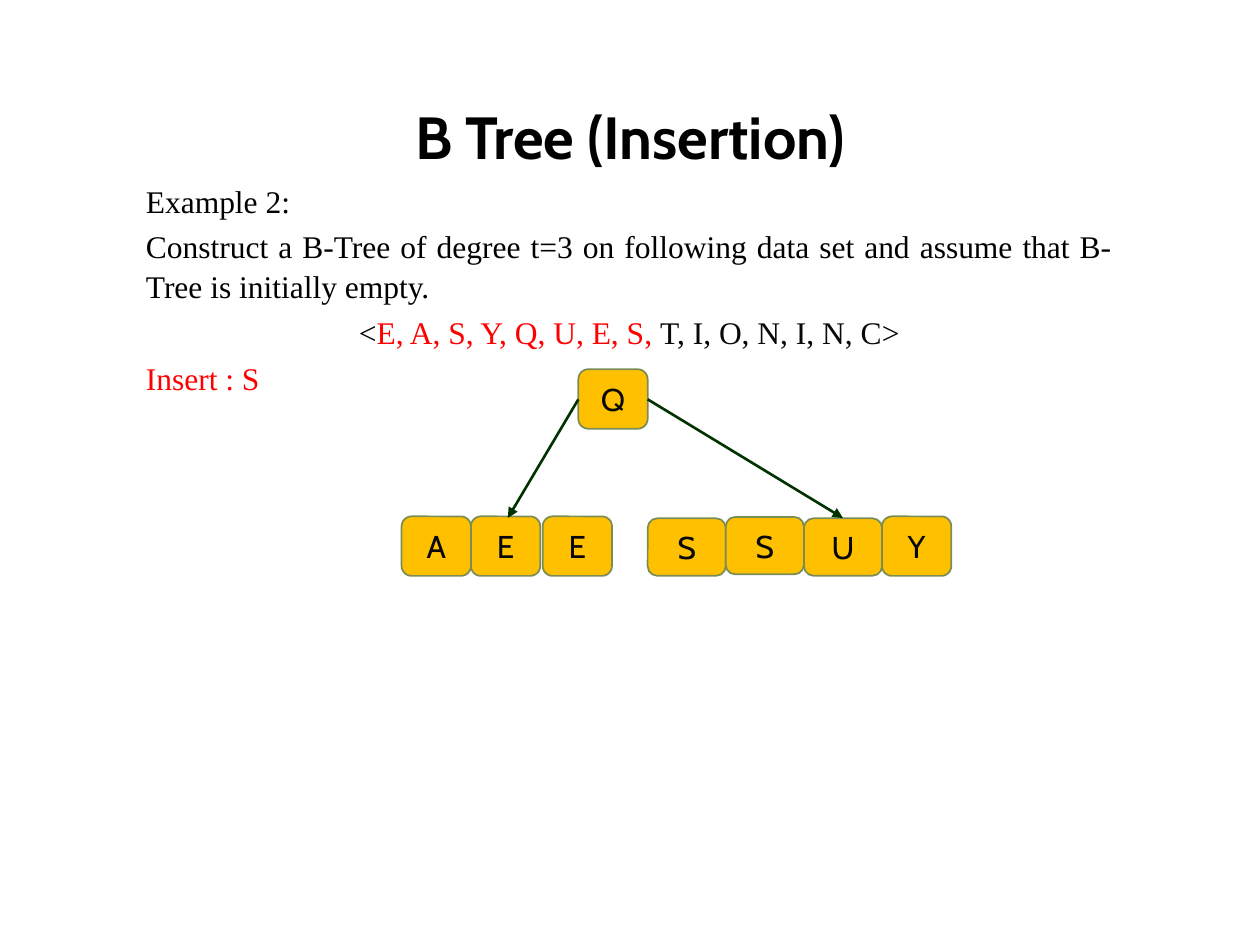
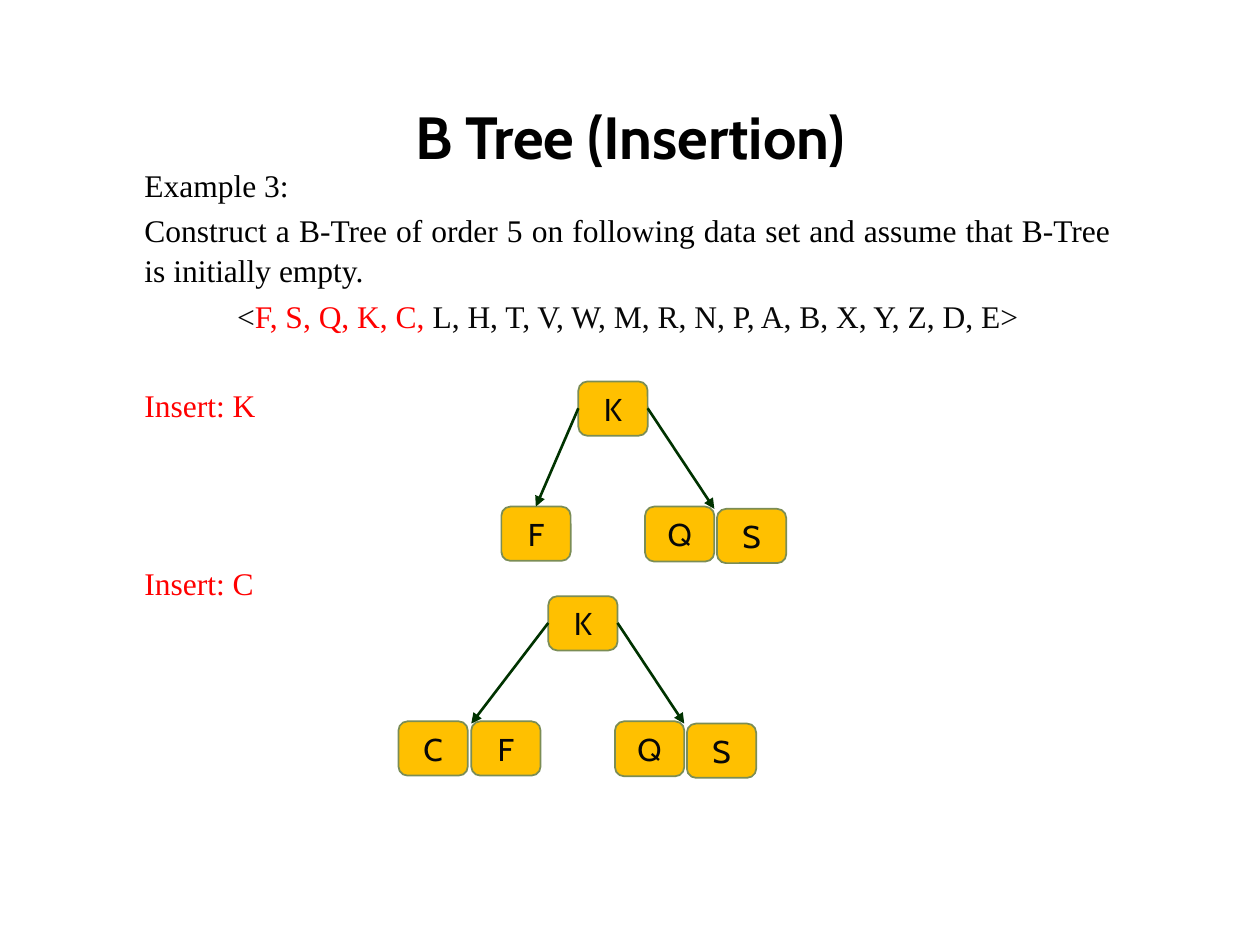
"""Build two slides that show insertion into a B-tree."""
from lxml import etree
from pptx import Presentation
from pptx.dml.color import RGBColor
from pptx.enum.shapes import MSO_CONNECTOR, MSO_SHAPE
from pptx.enum.text import MSO_ANCHOR, PP_ALIGN
from pptx.oxml.ns import qn
from pptx.util import Pt

LINE, ROUND = MSO_CONNECTOR.STRAIGHT, MSO_SHAPE.ROUNDED_RECTANGLE
MIDDLE, TOP = MSO_ANCHOR.MIDDLE, MSO_ANCHOR.TOP
LEFT, CENTER, FULL = PP_ALIGN.LEFT, PP_ALIGN.CENTER, PP_ALIGN.JUSTIFY
BLACK, INK, RED = "000000", "080808", "FF0000"
GOLD, OLIVE, GREEN = "FFC000", "7B8D55", "003300"
HEAD, BODY = "Cabin", "Times New Roman"
GAP, STEP = 3.43, 25.14
WIDE, SLIM = 44.64, 39.6


def tint(form, code):
    """Set a solid colour on a fill or a font colour."""
    form.rgb = RGBColor.from_string(code)


def style(run, face, size, code, bold=False):
    """Set the font of a run."""
    run.font.name, run.font.size, run.font.bold = face, Pt(size), bold
    tint(run.font.color, code)


low = [("K", 330.5, 218, SLIM, 31), ("F", 286.5, 289.5, SLIM, 31),
       ("Q", 368.6, 289.5, SLIM, 31.4), ("S", 409.7, 290.8, SLIM, 31)]
right = (370.1, 233.3, 408.2, 290.8)
shift, drop = -17.2, 122.7
moved = [(key, x + shift, y + drop, w, h) for key, x, y, w, h in low]
turn = (right[0] + shift, right[1] + drop, right[2] + shift, right[3] + drop)

first = [("E", 269.1, 295.1, SLIM, 34), ("A", 229.5, 295.1, SLIM, 34),
         ("S", 370.1, 296.2, WIDE, 32.8), ("U", 459.4, 296.2, WIDE, 32.8),
         ("Q", 330.5, 211, SLIM, 34), ("Y", 504, 295.1, SLIM, 34),
         ("E", 310.1, 295.1, SLIM, 34), ("S", 414.7, 295.4, WIDE, 32.8)]

pages = [
    ((76.3, 99.3),
     [(FULL, 0, [("Example 2:", BLACK)]),
      (FULL, GAP, [("Construct a B-Tree of degree t=3 on following data set "
                    "and assume that B-Tree is initially empty.", BLACK)]),
      (CENTER, GAP, [("<", BLACK), ("E, A, S, Y, Q, U, E, S, ", RED),
                     ("T, I, O, N, I, N, C", INK), (">", BLACK)]),
      (LEFT, GAP, [("Insert : S", RED)])],
     [(first, [(330.5, 228.2, 290.2, 296), (370.1, 228.2, 481.7, 296)])]),
    ((75.5, 90.1),
     [(FULL, 0, [("Example 3:", BLACK)]),
      (FULL, GAP, [("Construct a B-Tree of order 5 on following data set "
                    "and assume that B-Tree is initially empty.", BLACK)]),
      (CENTER, GAP, [("<", INK), ("F, S, Q, K, C, ", RED),
                     ("L, H, T, V, W, M, R, N, P, A, B, X, Y, Z, D, E>", INK)]),
      (LEFT, GAP + STEP, [("Insert: K", RED)]),
      (LEFT, GAP + 3 * STEP, [("Insert: C", RED)])],
     [(low, [(330.5, 233.3, 306.2, 289.5), right]),
      (moved + [("C", 227.7, 412.2, SLIM, 31)],
       [(313.3, 356, 269.3, 413.5), turn])]),
]

deck = Presentation()
deck.slide_width, deck.slide_height = Pt(720), Pt(540)

for (left, top), lines, trees in pages:
    slide = deck.slides.add_slide(deck.slide_layouts[5])
    title = slide.shapes.title
    title.left, title.top, title.width, title.height = Pt(36), Pt(49), Pt(648), Pt(57)
    title.text_frame.text = "B Tree (Insertion)"
    title.text_frame.vertical_anchor = MIDDLE
    para = title.text_frame.paragraphs[0]
    para.alignment = CENTER
    style(para.runs[0], HEAD, 34, BLACK, True)

    frame = slide.shapes.add_textbox(Pt(left), Pt(top), Pt(566.6), Pt(365)).text_frame
    frame.word_wrap, frame.vertical_anchor = True, TOP
    for spot, (side, space, parts) in enumerate(lines):
        para = frame.add_paragraph() if spot else frame.paragraphs[0]
        para.alignment, para.line_spacing = side, 1.05
        para.space_before = Pt(space)
        for words, code in parts:
            run = para.add_run()
            run.text = words
            style(run, BODY, 18, code)

    for nodes, links in trees:
        group = slide.shapes.add_group_shape()
        for key, x, y, wide, high in nodes:
            node = group.shapes.add_shape(ROUND, Pt(x), Pt(y), Pt(wide), Pt(high))
            node.shadow.inherit = False
            node.fill.solid()
            tint(node.fill.fore_color, GOLD)
            tint(node.line.color, OLIVE)
            node.line.width = Pt(1)
            node.text_frame.text = key
            node.text_frame.vertical_anchor = MIDDLE
            para = node.text_frame.paragraphs[0]
            para.alignment = CENTER
            style(para.runs[0], HEAD, 18, INK)
        for ends in links:
            link = group.shapes.add_connector(LINE, *[Pt(end) for end in ends])
            tint(link.line.color, GREEN)
            link.line.width = Pt(1.5)
            props = link.element.spPr
            etree.SubElement(props.find(qn("a:ln")), qn("a:tailEnd"), type="triangle")
            etree.SubElement(props, qn("a:effectLst"))

deck.save("out.pptx")
